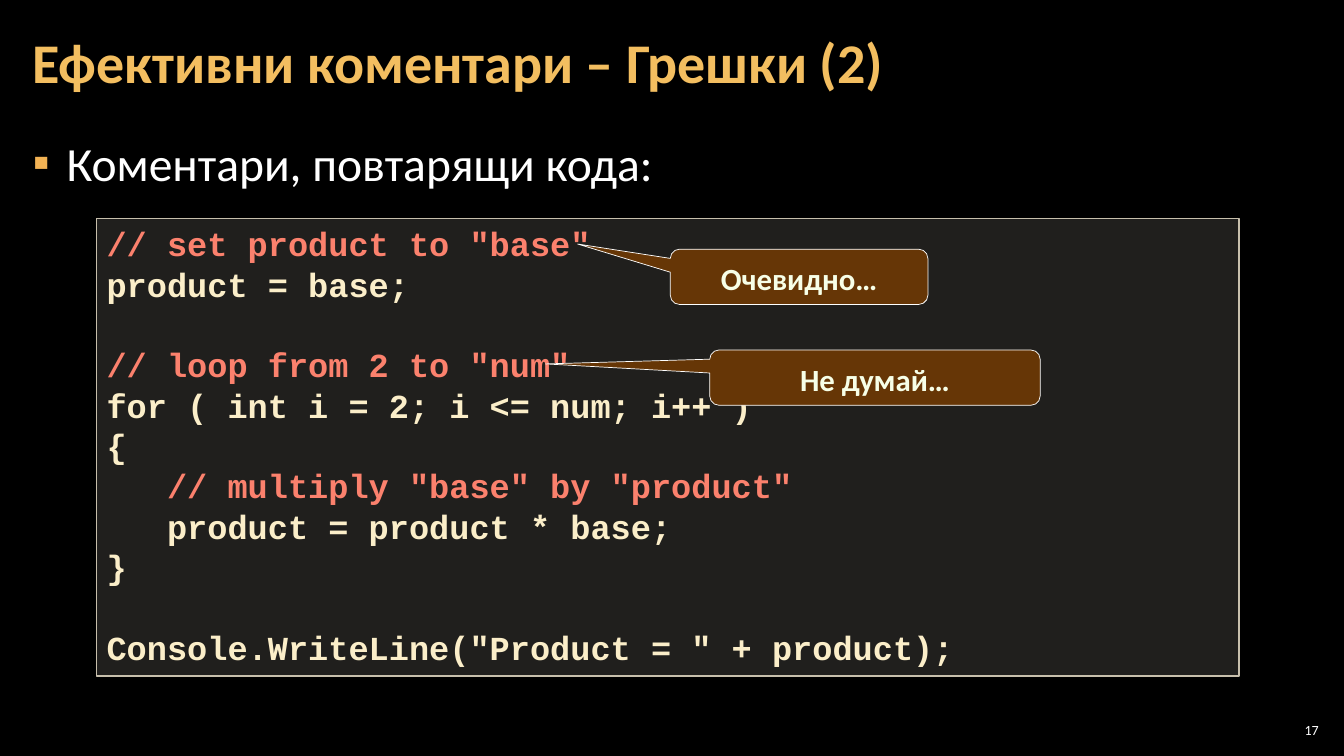
import pptx
import pptx.dml.color
import pptx.enum.shapes
import pptx.enum.text
import pptx.oxml
import pptx.oxml.ns
import pptx.util
from pptx.dml.color import RGBColor
from pptx.util import Pt

BLACK = RGBColor(0x00, 0x00, 0x00)
WHITE = RGBColor(0xFF, 0xFF, 0xFF)
GOLD = RGBColor(0xF3, 0xBE, 0x60)
CODE_FILL = RGBColor(0xD9, 0xD5, 0xC7)
CODE_LINE = RGBColor(0xC7, 0xBF, 0xAC)
CODE_TEXT = RGBColor(0xFB, 0xEE, 0xC9)
COMMENT = RGBColor(0xFB, 0x81, 0x6D)
BROWN = RGBColor(0x66, 0x36, 0x06)
CALLOUT_TEXT = RGBColor(0xF7, 0xFF, 0xE7)
ALIGN = pptx.enum.text.PP_ALIGN
ANCHOR = pptx.enum.text.MSO_ANCHOR
SHAPE = pptx.enum.shapes.MSO_SHAPE


def style(r, size, color, bold=False, name="Calibri"):
    r.font.name = name
    r.font.size = Pt(size)
    r.font.bold = bold
    r.font.color.rgb = color


def frame(sp, anchor, side, edge):
    tf = sp.text_frame
    tf.word_wrap = True
    tf.auto_size = pptx.enum.text.MSO_AUTO_SIZE.NONE
    tf.vertical_anchor = anchor
    tf.margin_left = tf.margin_right = Pt(side)
    tf.margin_top = tf.margin_bottom = Pt(edge)
    return tf


prs = pptx.Presentation()
prs.slide_width, prs.slide_height = Pt(960), Pt(540)
s = prs.slides.add_slide(prs.slide_layouts[1])
s.background.fill.solid()
s.background.fill.fore_color.rgb = BLACK

sp = s.shapes.title
sp.left, sp.top, sp.width, sp.height = Pt(15), Pt(3), Pt(754), Pt(87)
tf = frame(sp, ANCHOR.MIDDLE, 8.5, 3)
tf.text = "Ефективни коментари – Грешки (2)"
p = tf.paragraphs[0]
p.alignment = ALIGN.LEFT
p.line_spacing = 0.9
style(p.runs[0], 40, GOLD, True)

sp = s.placeholders[1]
sp.left, sp.top, sp.width, sp.height = Pt(15), Pt(90.7), Pt(930), Pt(438.5)
tf = frame(sp, ANCHOR.TOP, 8.5, 3)
tf.text = "Коментари, повтарящи кода:"
p = tf.paragraphs[0]
p.line_spacing = 1.05
p.space_before = Pt(0)
p.space_after = Pt(6)
pPr = p._p.get_or_add_pPr()
pPr.set("marL", str(Pt(24)))
pPr.set("indent", str(-Pt(24)))
ns = pptx.oxml.ns.nsdecls("a")
for xml in (
    f'<a:buClr {ns}><a:srgbClr val="F2B254"/></a:buClr>',
    f'<a:buFont {ns} typeface="Calibri"/>',
    f'<a:buChar {ns} char="▪"/>',
):
    pPr.append(pptx.oxml.parse_xml(xml))
style(p.runs[0], 34, WHITE)

sp = s.shapes.add_textbox(Pt(911), Pt(514), Pt(34), Pt(15))
tf = frame(sp, ANCHOR.MIDDLE, 3, 3)
tf.text = "17"
tf.paragraphs[0].alignment = ALIGN.RIGHT
style(tf.paragraphs[0].runs[0], 10, WHITE)

sp = s.shapes.add_shape(SHAPE.RECTANGLE, Pt(69), Pt(156), Pt(816), Pt(327))
sp.shadow.inherit = False
sp.fill.solid()
sp.fill.fore_color.rgb = CODE_FILL
color = sp._element.spPr.find(".//" + pptx.oxml.ns.qn("a:srgbClr"))
color.append(pptx.oxml.parse_xml(f'<a:alpha {ns} val="15000"/>'))
sp.line.color.rgb = CODE_LINE
sp.line.width = Pt(1)
tf = frame(sp, ANCHOR.TOP, 7.2, 3.6)
code = '''// set product to "base"
product = base;

// loop from 2 to "num"
for ( int i = 2; i <= num; i++ )
{
   // multiply "base" by "product"
   product = product * base;
}

Console.WriteLine("Product = " + product);'''
for i, line in enumerate(code.split("\n")):
    p = tf.add_paragraph() if i else tf.paragraphs[0]
    p.text = line or " "
    p.alignment = ALIGN.LEFT
    is_comment = line.lstrip().startswith("//")
    style(p.runs[0], 24, COMMENT if is_comment else CODE_TEXT, True, "Courier New")

callouts = [
    ("Очевидно…", 478.8, 178, 184, -0.86, -0.594),
    ("Не думай…", 507, 250, 236, -0.997, -0.248),
]
for text, left, top, width, tip_x, tip_y in callouts:
    sp = s.shapes.add_shape(
        SHAPE.ROUNDED_RECTANGULAR_CALLOUT, Pt(left), Pt(top), Pt(width), Pt(39.5))
    sp.adjustments[0] = tip_x
    sp.adjustments[1] = tip_y
    sp.adjustments[2] = 0.167
    sp.shadow.inherit = False
    sp.fill.solid()
    sp.fill.fore_color.rgb = BROWN
    sp.line.color.rgb = WHITE
    sp.line.width = Pt(0.5)
    tf = frame(sp, ANCHOR.MIDDLE, 7.2, 3.6)
    tf.text = text
    p = tf.paragraphs[0]
    p.alignment = ALIGN.CENTER
    p.line_spacing = Pt(28)
    style(p.runs[0], 22, CALLOUT_TEXT, True)

prs.save("out.pptx")
